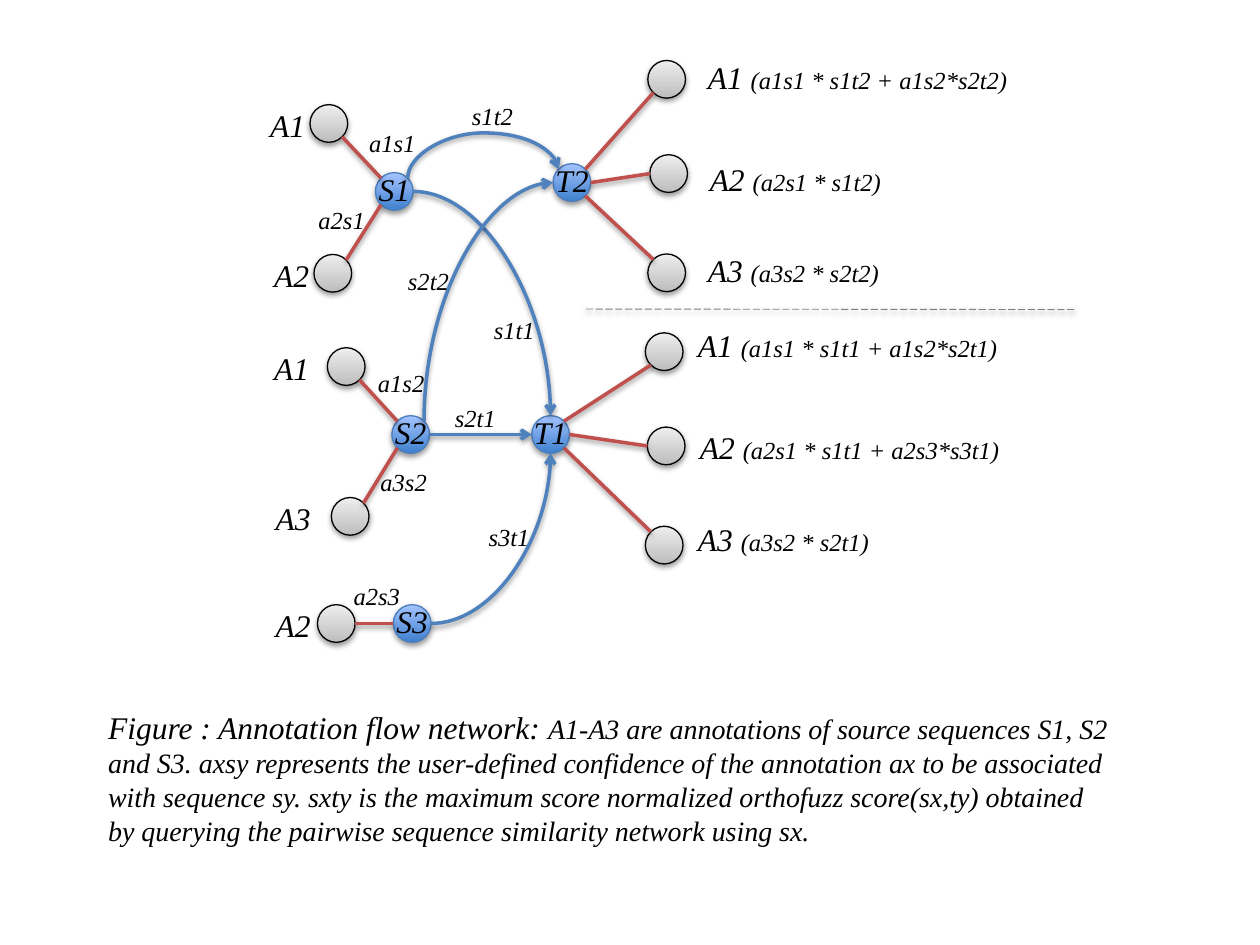
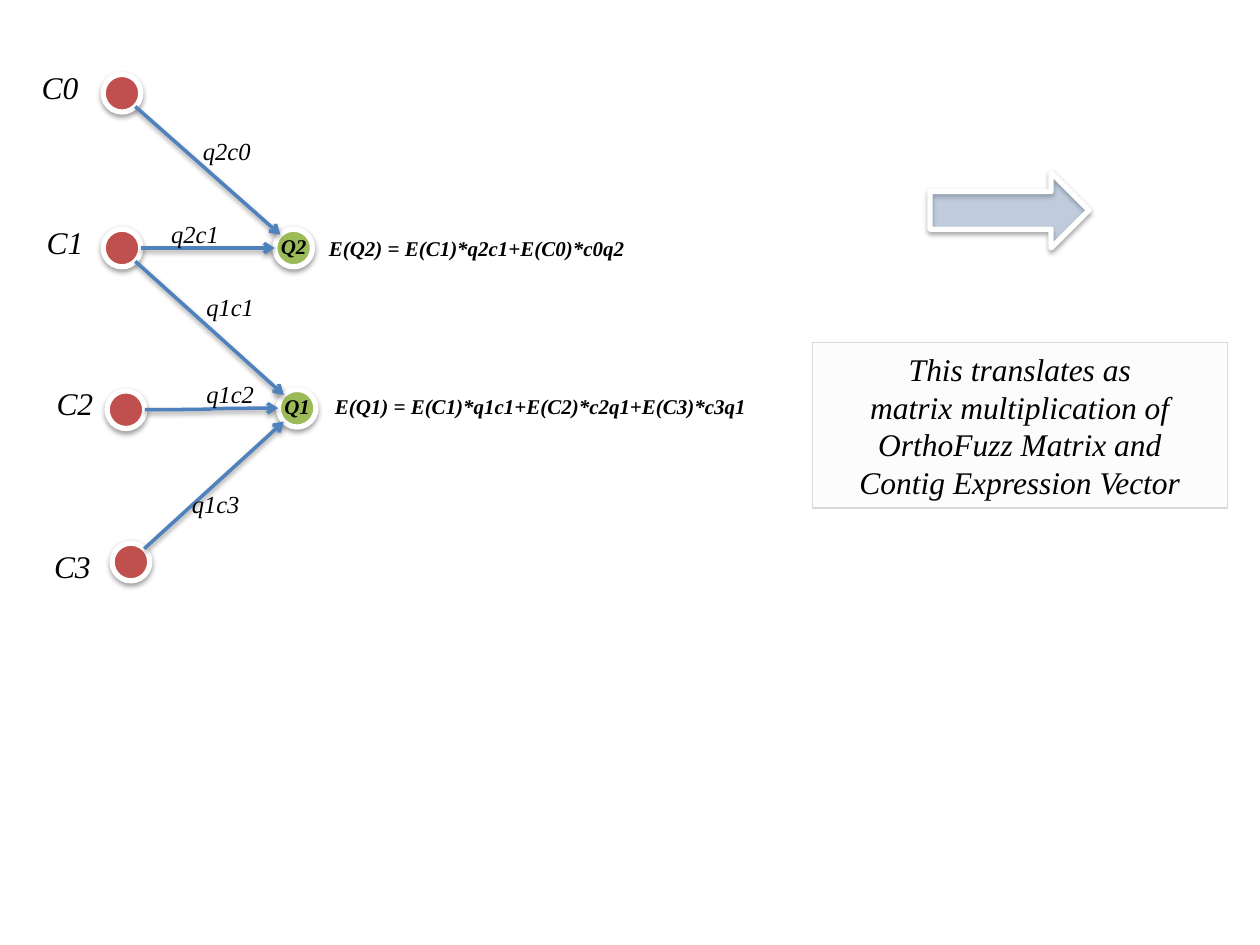
"""Draw the annotation flow network and the contig expression network."""
import dataclasses
import math

import lxml.etree
import pptx
import pptx.dml.color
import pptx.enum.dml
import pptx.enum.shapes
import pptx.enum.text
import pptx.oxml.ns
import pptx.util

Cm = pptx.util.Cm
Pt = pptx.util.Pt
SHAPE = pptx.enum.shapes.MSO_SHAPE
LINK = pptx.enum.shapes.MSO_CONNECTOR
ALIGN = pptx.enum.text.PP_ALIGN
TOP, TOP_LEFT, LEFT, LOW_LEFT, LOW, LOW_RIGHT, RIGHT, TOP_RIGHT = range(8)


@dataclasses.dataclass(frozen=True)
class Theme:
    font: str = "Times New Roman"
    ink: str = "000000"
    white: str = "FFFFFF"
    red: str = "C0504D"
    blue: str = "4F81BD"
    green: str = "9BBB59"
    rim: str = "4B7EBC"
    dash: str = "808080"
    pale: str = "F2F2F2"
    edge: str = "D9D9D9"
    sky: tuple = ("3F80CE", "A4C4FF")
    gray: tuple = ("BDBDBD", "EEEEEE")
    big: int = 18
    mid: int = 16
    small: int = 14
    tiny: int = 12
    node: float = 0.76


THEME = Theme()


def rgb(hue):
    return pptx.dml.color.RGBColor.from_string(hue)


def add(parent, tag, **marks):
    names = {key: str(value) for key, value in marks.items()}
    return lxml.etree.SubElement(parent, pptx.oxml.ns.qn(tag), names)


def shade(item):
    props = item._element.spPr
    effects = props.find(pptx.oxml.ns.qn("a:effectLst"))
    if effects is None:
        effects = add(props, "a:effectLst")
    shadow = add(effects, "a:outerShdw", blurRad=Pt(3.1), dist=Pt(1.6),
                 dir=5400000, rotWithShape=0)
    add(add(shadow, "a:srgbClr", val=THEME.ink), "a:alpha", val=38000)


def write(frame, *lines, align=ALIGN.LEFT, bold=False):
    """Fill a frame; each line is a list of (words, size) runs."""
    frame.word_wrap = True
    for count, line in enumerate(lines):
        para = frame.add_paragraph() if count else frame.paragraphs[0]
        para.alignment = align
        for words, size in line:
            run = para.add_run()
            run.text = words
            run.font.name = THEME.font
            run.font.size = Pt(size)
            run.font.italic = True
            run.font.bold = bold
            run.font.color.rgb = rgb(THEME.ink)


def label(slide, x, y, *runs, w=1.5, h=1.02, **look):
    box = slide.shapes.add_textbox(Cm(x), Cm(y), Cm(w), Cm(h))
    write(box.text_frame, runs, **look)


def tags(slide, spots, align=ALIGN.LEFT):
    for name, (x, y) in spots.items():
        label(slide, x, y, (name, THEME.small), h=0.86, align=align)


def form(slide, kind, place, fill, rim, width, clear=None, cast=True):
    item = slide.shapes.add_shape(kind, *map(Cm, place))
    item.shadow.inherit = False
    if isinstance(fill, tuple):
        item.fill.gradient()
        item.fill.gradient_angle = 90
        for stop, hue in zip(item.fill.gradient_stops, fill):
            stop.color.rgb = rgb(hue)
    else:
        item.fill.solid()
        item.fill.fore_color.rgb = rgb(fill)
    if clear:
        tint = item._element.spPr.find(".//" + pptx.oxml.ns.qn("a:srgbClr"))
        add(tint, "a:alpha", val=clear * 1000)
    item.line.color.rgb = rgb(rim)
    item.line.width = Pt(width)
    if cast:
        shade(item)
    return item


def node(slide, x, y, fill, rim=THEME.ink, width=0.75):
    size = THEME.node
    place = (x - size / 2, y - size / 2, size, size)
    return form(slide, SHAPE.OVAL, place, fill, rim, width)


def port(item, site):
    """Give the point of one of the eight sites round an oval."""
    angle = math.radians(90 + 45 * site)
    reach = item.width / 2
    return (round(item.left + reach + reach * math.cos(angle)),
            round(item.top + reach - reach * math.sin(angle)))


def stroke(slide, start, end, hue, kind=LINK.STRAIGHT, width=2, dash=None):
    line = slide.shapes.add_connector(kind, *start, *end)
    line.line.color.rgb = rgb(hue)
    line.line.width = Pt(width)
    if dash:
        line.line.dash_style = dash
    shade(line)
    return line


def link(slide, first, site, last, goal, hue=THEME.red, tip=None,
         kind=LINK.STRAIGHT):
    """Join two ovals; tip names the end that has an arrowhead."""
    line = stroke(slide, port(first, site), port(last, goal), hue, kind)
    joint = line._element.nvCxnSpPr.cNvCxnSpPr
    add(joint, "a:stCxn", id=first.shape_id, idx=site)
    add(joint, "a:endCxn", id=last.shape_id, idx=goal)
    if tip:
        add(line._element.spPr.find(pptx.oxml.ns.qn("a:ln")), tip, type="arrow")
    return line


def flow(slide, first, site, last, goal, kind=LINK.STRAIGHT, tip="a:tailEnd"):
    return link(slide, first, site, last, goal, THEME.blue, tip, kind)


def bend(slide, *ends, tip="a:tailEnd"):
    """Draw a quarter curve that leaves its first end level."""
    line = flow(slide, *ends, kind=LINK.CURVE, tip=tip)
    line._element.spPr.prstGeom.set("prst", "curvedConnector2")


def arch(slide, first, site, last, goal, rise):
    """Draw a curve that climbs from one oval and drops on the next."""
    line = flow(slide, first, site, last, goal, LINK.CURVE)
    (x1, y1), (x2, y2) = port(first, site), port(last, goal)
    wide, tall = y1 - y2, x2 - x1
    line.left, line.top = (x1 + x2 - wide) // 2, (y1 + y2 - tall) // 2
    line.width, line.height = wide, tall
    props = line._element.spPr
    for key, value in (("rot", "5400000"), ("flipH", "1"), ("flipV", "1")):
        props.xfrm.set(key, value)
    slot = props.prstGeom.find(pptx.oxml.ns.qn("a:avLst"))
    share = round(Cm(rise) / wide * 100000)
    add(slot, "a:gd", name="adj1", fmla=f"val {share}")


def fan(slide, hub, x, y, text_x, text_y, sums):
    """Draw the three annotations that a target receives."""
    rows = zip(sums, (0, 0.04, 0), (0, 1.9, 3.9), (0, 2.06, 3.9),
               (LOW_LEFT, LEFT, TOP_LEFT), (TOP_RIGHT, RIGHT, LOW_RIGHT))
    for count, (total, nudge, drop, fall, site, goal) in enumerate(rows, 1):
        mark = node(slide, x + nudge, y + drop, THEME.gray)
        link(slide, mark, site, hub, goal)
        label(slide, text_x + nudge, text_y + fall, (f"A{count} ", THEME.big),
              (f"({total})", THEME.small), w=8.15)


def draw_flow(slide):
    spots = {"S1": (7.95, 3.86), "S2": (8.28, 8.76), "S3": (8.31, 12.57),
             "T1": (11.1, 8.76), "T2": (11.53, 3.68)}
    hubs = {name: node(slide, *spot, THEME.sky, THEME.rim)
            for name, spot in spots.items()}
    notes = (("A1", 6.63, 2.49, 5.05, "S1", LOW_RIGHT, TOP_LEFT),
             ("A2", 6.71, 5.51, 5.13, "S1", TOP_RIGHT, LOW_LEFT),
             ("A1", 6.98, 7.39, 5.13, "S2", LOW_RIGHT, TOP_LEFT),
             ("A3", 7.06, 10.41, 5.16, "S2", TOP_RIGHT, LOW_LEFT),
             ("A2", 6.78, 12.57, 5.16, "S3", RIGHT, LEFT))
    for name, x, y, text_x, hub, site, goal in notes:
        mark = node(slide, x, y, THEME.gray)
        link(slide, mark, site, hubs[hub], goal)
        label(slide, text_x, y - 0.48, (name, THEME.big), align=ALIGN.CENTER)
    fan(slide, hubs["T2"], 13.44, 1.6, 14.02, 1.04,
        ("a1s1 * s1t2 + a1s2*s2t2", "a2s1 * s1t2", "a3s2 * s2t2"))
    fan(slide, hubs["T1"], 13.39, 7.09, 13.82, 6.45,
        ("a1s1 * s1t1 + a1s2*s2t1", "a2s1 * s1t1 + a2s3*s3t1", "a3s2 * s2t1"))
    bend(slide, hubs["S1"], RIGHT, hubs["T1"], TOP)
    bend(slide, hubs["S3"], RIGHT, hubs["T1"], LOW)
    bend(slide, hubs["T2"], LEFT, hubs["S2"], TOP_RIGHT, tip="a:headEnd")
    flow(slide, hubs["S2"], RIGHT, hubs["T1"], LEFT, LINK.CURVE)
    arch(slide, hubs["S1"], TOP_RIGHT, hubs["T2"], TOP_LEFT, 0.91)
    for name, (x, y) in spots.items():
        label(slide, x - 0.75, y - 0.56, (name, THEME.big), align=ALIGN.CENTER)
    tags(slide, {"a1s1": (7.19, 2.46), "a2s1": (6.17, 4.01),
                 "a1s2": (7.37, 7.29), "a3s2": (7.42, 9.3),
                 "a2s3": (6.88, 11.58), "s3t1": (9.6, 10.39),
                 "s2t1": (8.92, 8)})
    tags(slide, {"s2t2": (7.8, 5.23), "s1t1": (9.53, 6.22),
                 "s1t2": (9.09, 1.91)}, ALIGN.RIGHT)
    stroke(slide, (Cm(11.81), Cm(6.23)), (Cm(21.69), Cm(6.24)), THEME.dash,
           width=0.5, dash=pptx.enum.dml.MSO_LINE.LONG_DASH)
    label(slide, 1.93, 14.15,
          ("Figure : Annotation flow network: ", THEME.big),
          ("A1-A3 are annotations of source sequences S1, S2 and S3. axsy "
           "represents the user-defined confidence of the annotation ax to be "
           "associated with sequence sy. sxty is the maximum score normalized "
           "orthofuzz score(sx,ty) obtained by querying the pairwise sequence "
           "similarity network using sx.", THEME.mid), w=20.78, h=3.07)


def draw_sums(slide):
    spots = {"C0": (2.46, 1.88), "C1": (2.46, 5), "C2": (2.54, 8.26),
             "C3": (2.64, 11.33), "Q1": (5.99, 8.23), "Q2": (5.92, 5)}
    hues = {"C": THEME.red, "Q": THEME.green}
    dots = {name: node(slide, *spot, hues[name[0]], THEME.white, 3)
            for name, spot in spots.items()}
    for first, site, last, goal in (("C0", LOW_RIGHT, "Q2", TOP_LEFT),
                                    ("C1", RIGHT, "Q2", LEFT),
                                    ("C1", LOW_RIGHT, "Q1", TOP_LEFT),
                                    ("C3", TOP_RIGHT, "Q1", LOW_LEFT)):
        flow(slide, dots[first], site, dots[last], goal)
    flow(slide, dots["C2"], RIGHT, dots["Q1"], LEFT, LINK.CURVE)
    for name, x, y in (("C0", 0.46, 1.24), ("C1", 0.56, 4.37),
                       ("C2", 0.76, 7.62), ("C3", 0.71, 10.9)):
        label(slide, x, y, (name, THEME.big), align=ALIGN.CENTER)
    for name, x, y, total in (
            ("Q1", 6.5, 7.8, "E(Q1) = E(C1)*q1c1+E(C2)*c2q1+E(C3)*c3q1"),
            ("Q2", 6.38, 4.62, "E(Q2) = E(C1)*q2c1+E(C0)*c0q2")):
        mid_x, mid_y = spots[name]
        label(slide, mid_x - 1.13, mid_y - 0.42, (name, THEME.tiny),
              w=2.26, h=0.76, align=ALIGN.CENTER, bold=True)
        label(slide, x, y, (total, THEME.tiny), w=13.03, h=0.76, bold=True)
    tags(slide, {"q1c2": (3.91, 7.52), "q1c1": (3.91, 5.77),
                 "q2c1": (3.2, 4.29), "q2c0": (3.84, 2.62)})
    tags(slide, {"q1c3": (3.58, 9.73)}, ALIGN.RIGHT)
    form(slide, SHAPE.RIGHT_ARROW, (18.75, 3.48, 3.2, 1.52), THEME.blue,
         THEME.white, 3, clear=25)
    box = form(slide, SHAPE.RECTANGLE, (16.38, 6.91, 8.36, 3.33), THEME.pale,
               THEME.edge, 0.75, clear=17, cast=False)
    lines = ("This translates as", "matrix multiplication of",
             "OrthoFuzz Matrix and", "Contig Expression Vector")
    write(box.text_frame, *([(line, THEME.big)] for line in lines),
          align=ALIGN.CENTER)


def main():
    deck = pptx.Presentation()
    deck.slide_width, deck.slide_height = Cm(25.4), Cm(19.05)
    for draw in (draw_flow, draw_sums):
        draw(deck.slides.add_slide(deck.slide_layouts[6]))
    deck.save("out.pptx")


if __name__ == "__main__":
    main()
